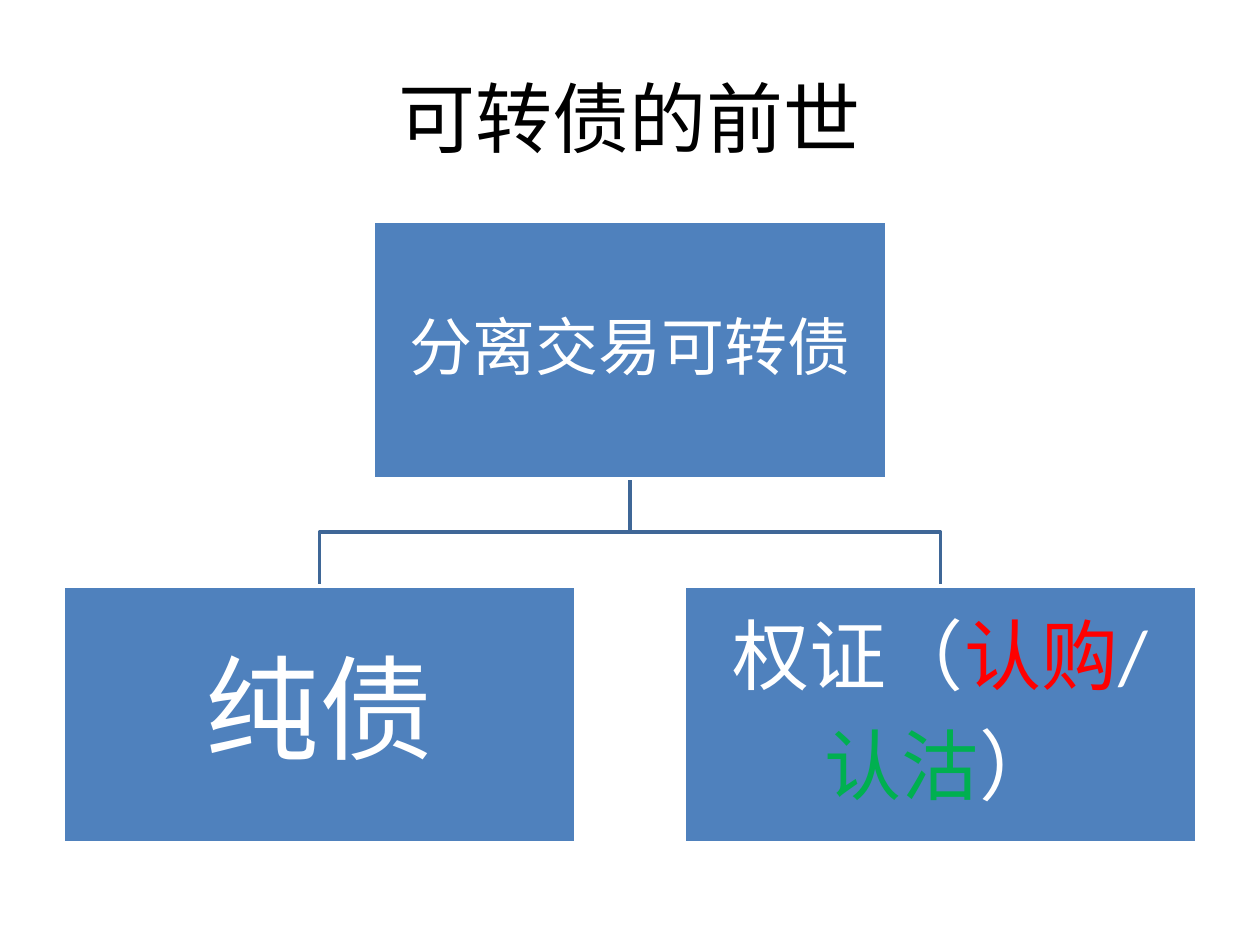
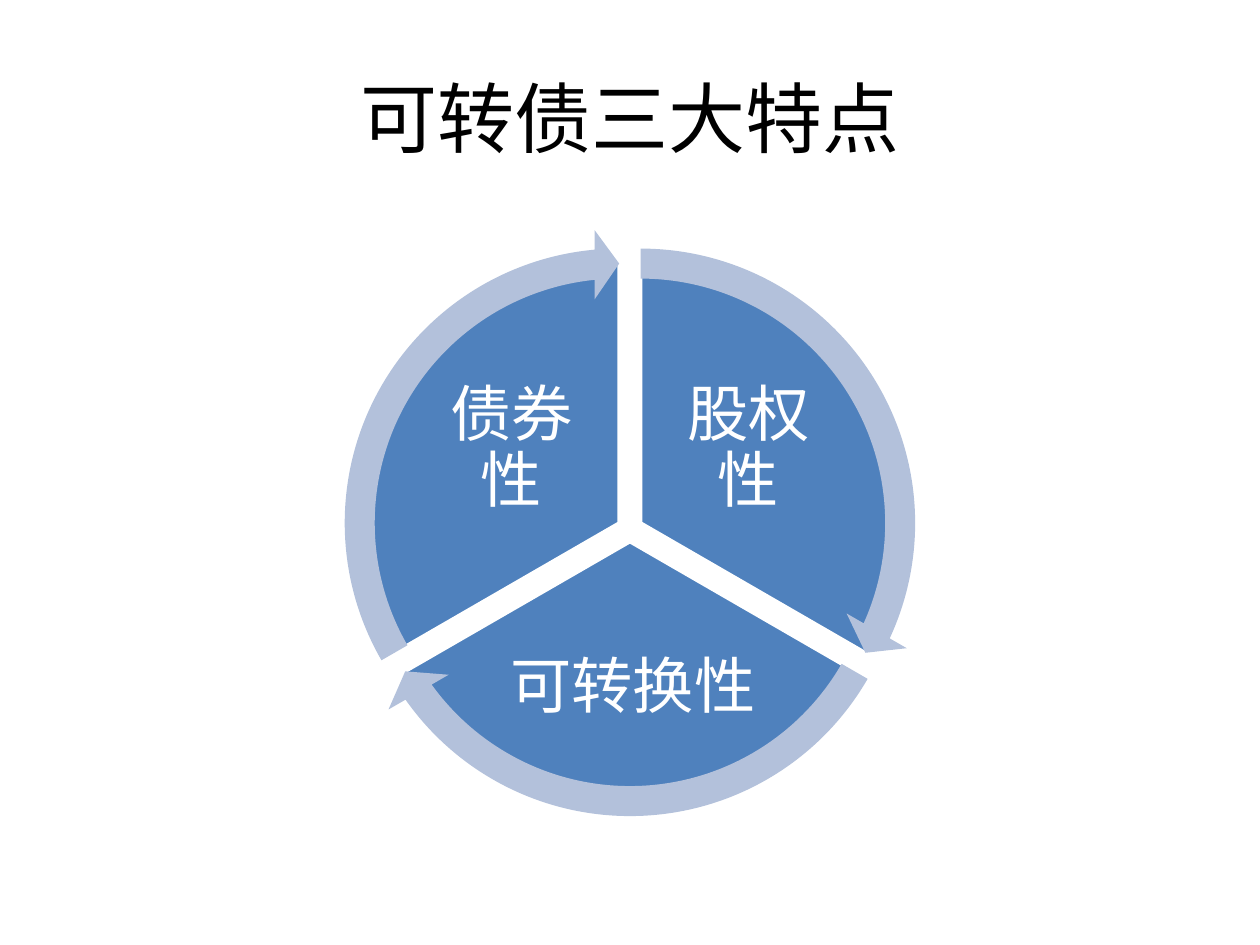
from math import cos, radians, sin

from pptx import Presentation
from pptx.dml.color import RGBColor
from pptx.enum.shapes import MSO_SHAPE as Kind
from pptx.enum.text import MSO_ANCHOR as Anchor, PP_ALIGN as Align
from pptx.util import Cm, Pt

BLUE = RGBColor(0x4F, 0x81, 0xBD)
NAVY = RGBColor(0x3F, 0x67, 0x97)
PALE = RGBColor(0xB3, 0xC1, 0xDB)
WHITE = RGBColor(0xFF, 0xFF, 0xFF)
BLACK = RGBColor(0, 0, 0)
RED = RGBColor(0xFF, 0, 0)
GREEN = RGBColor(0, 0xB0, 0x50)
FONT = "Calibri"

HEAD = (1.27, 0.76, 22.86, 3.18)
TREE = (1.27, 4.47, 22.86, 12.52)
WHEEL = (1.27, 4.47, 22.86, 12.4)


def span(box):
    return [Cm(side) for side in box]


def style(para, size, color):
    para.alignment = Align.CENTER
    para.font.size = Pt(size)
    para.font.name = FONT
    para.font.color.rgb = color


def start(deck, title):
    slide = deck.slides.add_slide(deck.slide_layouts[5])
    head = slide.shapes.title
    head.left, head.top, head.width, head.height = span(HEAD)
    head.text_frame.text = title
    head.text_frame.vertical_anchor = Anchor.MIDDLE
    style(head.text_frame.paragraphs[0], 44, BLACK)
    return slide


def write(shape, lines, size, inset=0.13):
    frame = shape.text_frame
    frame.word_wrap = True
    frame.vertical_anchor = Anchor.MIDDLE
    frame.margin_left = frame.margin_right = Cm(inset)
    frame.margin_top = frame.margin_bottom = Cm(inset)
    for i, parts in enumerate(lines):
        para = frame.add_paragraph() if i else frame.paragraphs[0]
        style(para, size, WHITE)
        para.line_spacing = 0.9
        para.space_after = Pt(0.35 * size)
        for text, color in parts:
            run = para.add_run()
            run.text = text
            if color != WHITE:
                run.font.color.rgb = color


def block(slide, kind, box, fill, edge=None):
    shape = slide.shapes.add_shape(kind, *span(box))
    shape.shadow.inherit = False
    shape.fill.solid()
    shape.fill.fore_color.rgb = fill
    if edge is None:
        shape.line.fill.background()
    else:
        shape.line.color.rgb = edge
        shape.line.width = Pt(2)
    return shape


def branch(slide, points):
    first, *rest = [(Cm(x), Cm(y)) for x, y in points]
    pen = slide.shapes.build_freeform(*first, scale=1.0)
    pen.add_line_segments(rest, close=False)
    line = pen.convert_to_shape()
    line.shadow.inherit = False
    line.fill.background()
    line.line.color.rgb = NAVY
    line.line.width = Pt(2)


def tree(slide, box, root, leaves):
    left, top, width, height = box
    wide, high = 10.34, 5.18
    mid, base = left + width / 2, top + height - high
    bend = (top + high + base) / 2
    spots = (left, left + width - wide)
    for x in reversed(spots):
        end = x + wide / 2
        branch(slide, [(mid, top + high), (mid, bend), (end, bend), (end, base)])
    places = [(mid - wide / 2, top)] + [(x, base) for x in spots]
    for (x, y), node in zip(places, [root] + leaves):
        rect = block(slide, Kind.RECTANGLE, (x, y, wide, high), BLUE, WHITE)
        write(rect, *node)


def wheel(slide, box, parts):
    left, top, width, height = box
    mid, axis = left + width / 2, top + height / 2
    gap, pie, ring, turn = 0.25, 10.57, 11.86, 72

    def disc(kind, i, size, fill, edge, angles):
        way = radians(120 * i - 30)
        x, y = mid + gap * cos(way), axis + gap * sin(way)
        area = (x - size / 2, y - size / 2, size, size)
        shape = block(slide, kind, area, fill, edge)
        for n, value in angles.items():
            shape.adjustments[n] = value

    def spin(angle, i):
        return (angle + turn * i) % 216

    for i, (text, dx, dy, wide, high) in enumerate(parts):
        disc(Kind.PIE, i, pie, BLUE, WHITE, {0: spin(162, i), 1: spin(18, i)})
        area = (mid + dx - wide / 2, axis + dy - high / 2, wide, high)
        label = slide.shapes.add_textbox(*span(area))
        write(label, [[(text, WHITE)]], 35)
    for i in range(len(parts)):
        disc(Kind.CIRCULAR_ARROW, i, ring, PALE, None, {
            0: 0.051, 1: 3.275, 2: spin(14.73, i), 3: spin(162, i), 4: 0.059})


def main():
    deck = Presentation()
    deck.slide_width, deck.slide_height = Cm(25.4), Cm(19.05)

    root = ([[("分离交易可转债", WHITE)]], 36, 0.08)
    bond = ([[("纯债", WHITE)]], 65)
    warrant = ([[("权证（", WHITE), ("认购", RED), ("/", WHITE)],
                [("认沽", GREEN), ("）", WHITE)]], 44, 0.08)
    tree(start(deck, "可转债的前世"), TREE, root, [bond, warrant])

    wheel(start(deck, "可转债三大特点"), WHEEL, [
        ("股权性", 2.39, -1.6, 3.76, 3.15),
        ("可转换性", 0.06, 3.21, 5.66, 2.77),
        ("债券性", -2.39, -1.6, 3.76, 3.15)])

    deck.save("out.pptx")


if __name__ == "__main__":
    main()
